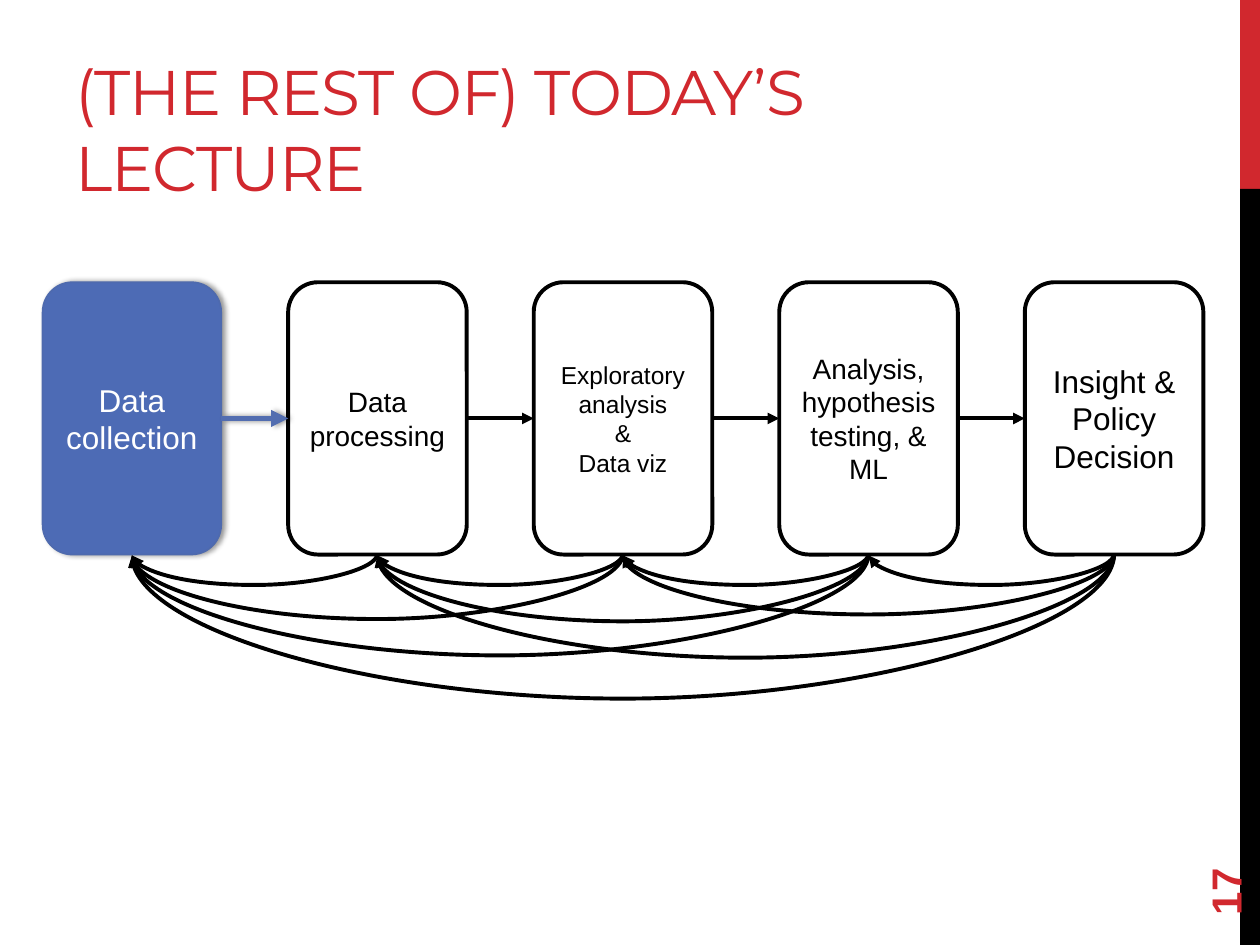
from lxml import etree
from pptx import Presentation
from pptx.dml.color import RGBColor
from pptx.enum import shapes, text
from pptx.oxml import ns
from pptx.util import Cm, Pt

RED = RGBColor(0xD1, 0x28, 0x2E)
BLUE = RGBColor(0x4D, 0x6B, 0xB5)
BLUE_EDGE = RGBColor(0x4E, 0x6A, 0xAE)
BLUE_ARROW = RGBColor(0x52, 0x6D, 0xB0)
BLACK = RGBColor(0, 0, 0)
WHITE = RGBColor(255, 255, 255)

TITLE = "(THE REST OF) TODAY’S LECTURE"
PAGE = "17"
STEPS = [  # paragraphs, text size
    (["Data collection"], 18),
    (["Data processing"], 16),
    (["Exploratory analysis", "&", "Data viz"], 14),
    (["Analysis, hypothesis testing, & ML"], 16),
    (["Insight & Policy Decision"], 18),
]
# (from step, to step): bend of the curve, in multiples of CURVE_W
BENDS = {
    (1, 0): 18,
    (2, 1): 18, (2, 0): 37.64,
    (3, 2): 18, (3, 1): 38.95, (3, 0): 58.58,
    (4, 3): 18, (4, 2): 35.02, (4, 1): 59.89, (4, 0): 83.46,
}
BOX_X, BOX_Y, BOX_W, BOX_H, PITCH = 0.86, 5.69, 3.6, 5.49, 4.95
CURVE_W = Pt(1)
LEFT, BOTTOM, RIGHT = 1, 2, 3  # connection sites of a rounded rectangle


def add_xml(parent, tag, **attrs):
    return etree.SubElement(parent, ns.qn(tag), **attrs)


def add_shadow(effects):
    shadow = add_xml(effects, "a:outerShdw", blurRad=str(Pt(3.1)), dist=str(Pt(1.8)),
                     dir="0", rotWithShape="0")
    color = add_xml(shadow, "a:srgbClr", val=str(BLACK))
    add_xml(color, "a:alpha", val="40000")


def write(tf, paragraphs, size, color, font="Arial", bold=False,
          align=text.PP_ALIGN.LEFT, anchor=text.MSO_ANCHOR.MIDDLE):
    tf.word_wrap = True
    tf.auto_size = text.MSO_AUTO_SIZE.NONE
    tf.vertical_anchor = anchor
    for i, words in enumerate(paragraphs):
        p = tf.paragraphs[0] if i == 0 else tf.add_paragraph()
        p.alignment = align
        r = p.add_run()
        r.text = words
        r.font.name, r.font.size, r.font.bold = font, Pt(size), bold
        r.font.color.rgb = color


def add_bar(s, top, height, color):
    bar = s.shapes.add_shape(shapes.MSO_SHAPE.RECTANGLE, Cm(25), Cm(top), Cm(0.4), Cm(height))
    bar.shadow.inherit = False
    bar.fill.solid()
    bar.fill.fore_color.rgb = color
    bar.line.fill.background()


def add_step(s, i, paragraphs, size):
    current = i == 0
    box = s.shapes.add_shape(shapes.MSO_SHAPE.ROUNDED_RECTANGLE, Cm(BOX_X + i * PITCH),
                             Cm(BOX_Y), Cm(BOX_W), Cm(BOX_H))
    box.name = f"Step {i + 1}"
    box.shadow.inherit = False
    box.fill.solid()
    box.fill.fore_color.rgb = BLUE if current else WHITE
    box.line.color.rgb = BLUE_EDGE if current else BLACK
    box.line.width = Pt(1 if current else 2.25)
    if current:
        add_shadow(box._element.spPr.find(ns.qn("a:effectLst")))
    tf = box.text_frame
    tf.margin_left = tf.margin_right = Cm(0.2)
    write(tf, paragraphs, size, WHITE if current else BLACK, align=text.PP_ALIGN.CENTER)
    return box


def add_arrow(s, kind, start, start_site, end, end_site, color=BLACK, width=2.25):
    """Join two boxes; return the connector and its empty effect list."""
    arrow = s.shapes.add_connector(kind, 0, 0, 0, 0)
    arrow.begin_connect(start, start_site)
    arrow.end_connect(end, end_site)
    arrow.line.color.rgb = color
    arrow.line.width = Pt(width)
    add_xml(arrow.line._get_or_add_ln(), "a:tailEnd", type="triangle")
    return arrow, add_xml(arrow._element.spPr, "a:effectLst")


def add_feedback(s, start, end, bend):
    """Curve below the boxes: a thin, tall connector turned by 90 degrees."""
    arrow, _ = add_arrow(s, shapes.MSO_CONNECTOR.CURVE, start, BOTTOM, end, BOTTOM)
    span = start.left - end.left
    middle_x = end.left + (span + end.width) // 2
    middle_y = end.top + end.height
    sp_pr = arrow._element.spPr
    xfrm = sp_pr.find(ns.qn("a:xfrm"))
    for flip in ("flipH", "flipV"):
        xfrm.attrib.pop(flip, None)
    xfrm.set("rot", str(90 * 60000))
    arrow.left, arrow.top = middle_x - CURVE_W // 2, middle_y - span // 2
    arrow.width, arrow.height = CURVE_W, span
    guides = sp_pr.find(ns.qn("a:prstGeom")).find(ns.qn("a:avLst"))
    add_xml(guides, "a:gd", name="adj1", fmla=f"val {round(bend * 100000)}")


def main():
    prs = Presentation()
    prs.slide_width, prs.slide_height = Cm(25.4), Cm(19.05)
    s = prs.slides.add_slide(prs.slide_layouts[5])

    add_bar(s, 0, 3.81, RED)
    add_bar(s, 3.81, 15.24, BLACK)

    title = s.shapes.title
    title.left, title.top, title.width, title.height = Cm(1.27), Cm(0.43), Cm(16.08), Cm(3.81)
    write(title.text_frame, [TITLE], 36, RED, "Montserrat", anchor=text.MSO_ANCHOR.BOTTOM)
    title.text_frame.paragraphs[0].runs[0].font._element.set("spc", "-60")

    number = s.shapes.add_textbox(Cm(22.86), Cm(16.36), Cm(3.66), Cm(1.02))
    number.rotation = 270
    write(number.text_frame, [PAGE], 24, RED, bold=True)

    boxes = [add_step(s, i, *step) for i, step in enumerate(STEPS)]
    for i, (start, end) in enumerate(zip(boxes, boxes[1:])):
        color, width = (BLUE_ARROW, 3.25) if i == 0 else (BLACK, 2.25)
        _, effects = add_arrow(s, shapes.MSO_CONNECTOR.STRAIGHT, start, RIGHT, end, LEFT,
                               color, width)
        if i == 0:
            add_shadow(effects)
    for (start, end), bend in BENDS.items():
        add_feedback(s, boxes[start], boxes[end], bend)

    prs.save("out.pptx")


if __name__ == "__main__":
    main()
